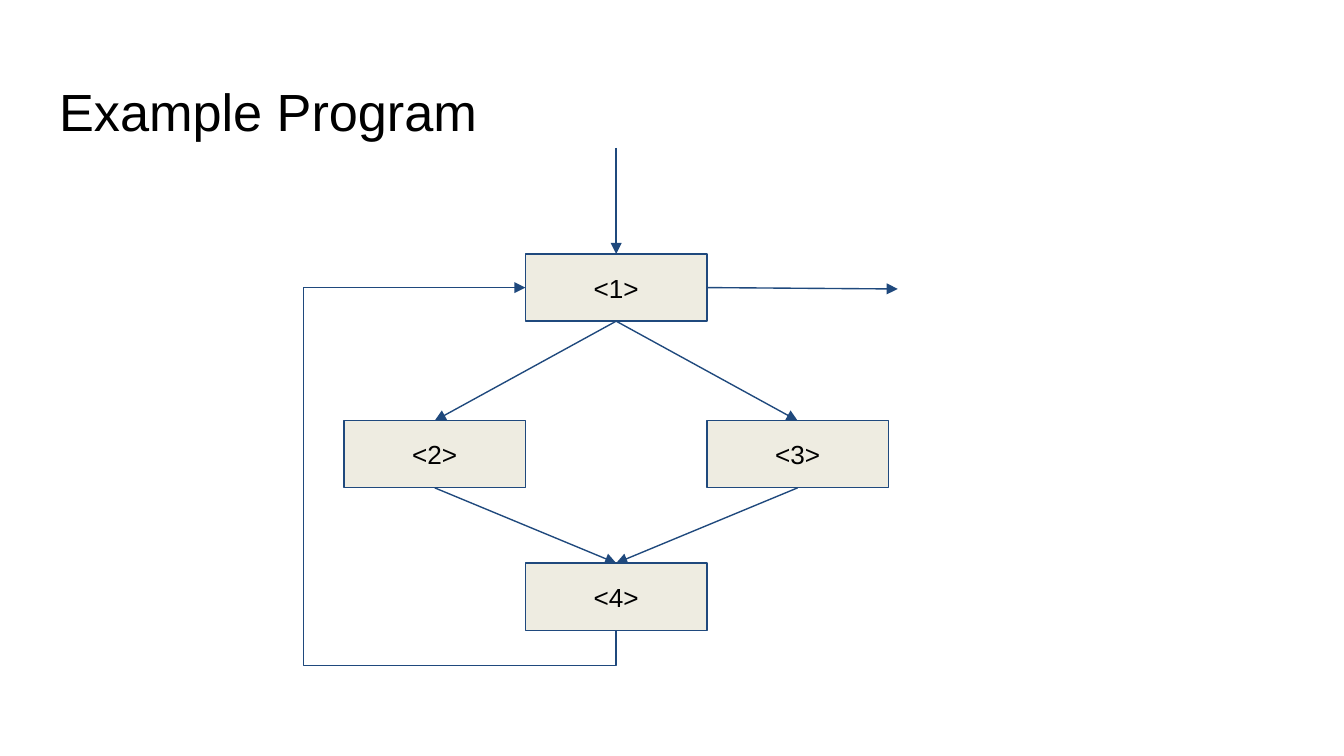
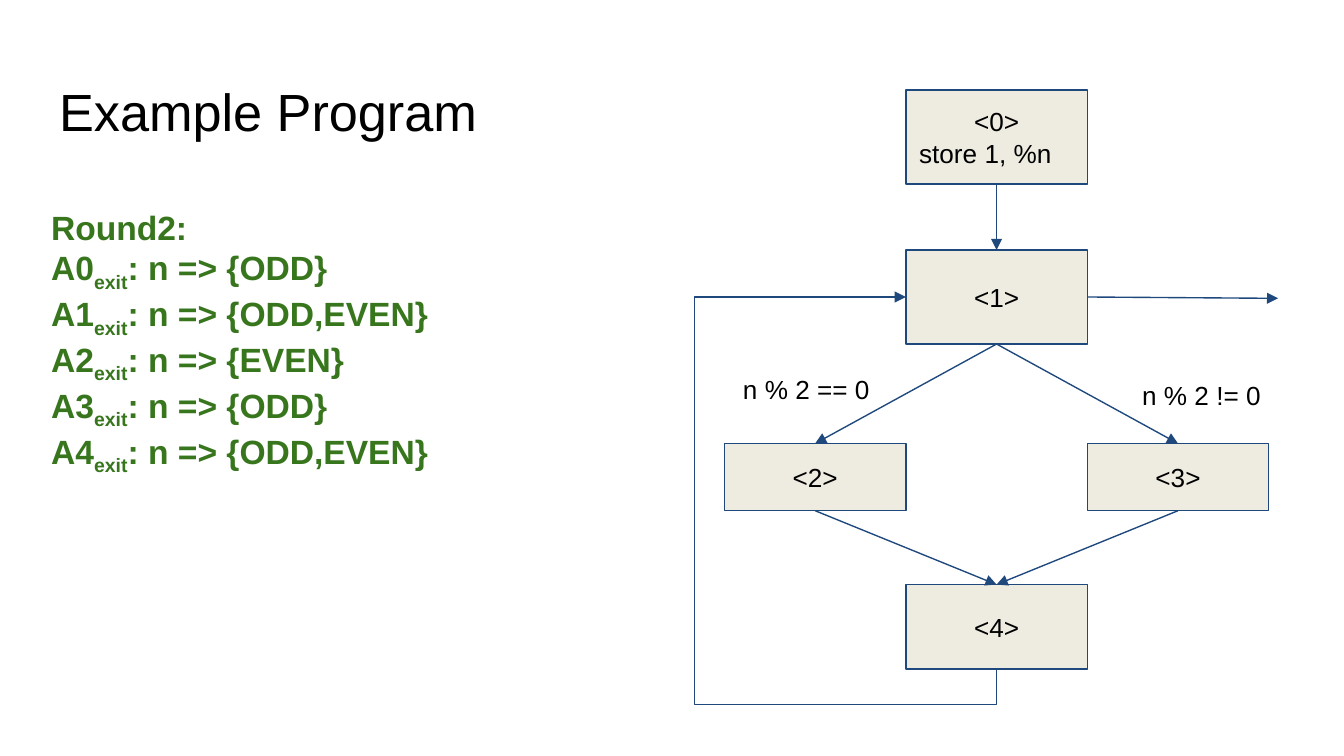
from lxml.etree import SubElement
from pptx import Presentation
from pptx.dml.color import RGBColor
from pptx.enum.shapes import MSO_CONNECTOR, MSO_SHAPE
from pptx.enum.text import MSO_ANCHOR, MSO_AUTO_SIZE, PP_ALIGN
from pptx.oxml.ns import qn
from pptx.util import Inches, Pt

INK = RGBColor(0x00, 0x00, 0x00)
NAVY = RGBColor(0x1F, 0x49, 0x7D)
CREAM = RGBColor(0xEE, 0xEC, 0xE1)
GREEN = RGBColor(0x38, 0x76, 0x1D)
FONT = "Arial"
LINE_WIDTH = Pt(0.75)

PAGE_WIDTH = Inches(10)
PAGE_HEIGHT = PAGE_WIDTH * 9 // 16
COLUMN = 1.35      # node width, and the step between columns
EXIT_LENGTH = 1.42
LOOP_DROP = 0.26   # how far the loop runs below its node
TOP, LEFT, BOTTOM, RIGHT = range(4)   # connection sites of a rectangle

TITLE = "Example Program"
EDGES = [("<1>", "<2>"), ("<1>", "<3>"), ("<2>", "<4>"), ("<3>", "<4>")]

# Nodes: name -> (column, top, height). Labels: (text, left, top).
SLIDES = [
    {
        "origin": 2.56, "lane": 2.26, "entry": 1.1,
        "nodes": {"<1>": (1, 1.89, 0.5), "<3>": (2, 3.13, 0.5),
                  "<2>": (0, 3.13, 0.5), "<4>": (1, 4.19, 0.5)},
        "edges": EDGES, "details": {}, "labels": [], "facts": [],
    },
    {
        "origin": 5.39, "lane": 5.17, "entry": None,
        "nodes": {"<1>": (1, 1.86, 0.7), "<3>": (2, 3.3, 0.5),
                  "<2>": (0, 3.3, 0.5), "<4>": (1, 4.35, 0.63),
                  "<0>": (1, 0.67, 0.7)},
        "edges": [("<0>", "<1>")] + EDGES,
        "details": {"<0>": "store 1, %n"},
        "labels": [("n % 2 != 0", 8.04, 2.72), ("n % 2 == 0", 5.1, 2.68)],
        "facts": [("A0", "{ODD}"), ("A1", "{ODD,EVEN}"), ("A2", "{EVEN}"),
                  ("A3", "{ODD}"), ("A4", "{ODD,EVEN}")],
    },
]


def add_span(para, text, size, color=INK, bold=False, baseline=0):
    """Add one formatted run; baseline is in percent."""
    span = para.add_run()
    span.text = text
    span.font.name, span.font.size, span.font.bold = FONT, Pt(size), bold
    span.font.color.rgb = color
    if baseline:
        span.font._element.set("baseline", str(baseline * 1000))


def prepare_frame(box, anchor=MSO_ANCHOR.TOP):
    """Give a shape's text frame the shared insets and wrapping."""
    frame = box.text_frame
    frame.word_wrap = True
    frame.auto_size = MSO_AUTO_SIZE.NONE
    frame.vertical_anchor = anchor
    frame.margin_left = frame.margin_right = Inches(0.1)
    frame.margin_top = frame.margin_bottom = Inches(0.1)
    return frame


def place(box, left, top, width, height):
    """Move and size a placeholder, in inches."""
    box.left, box.top = Inches(left), Inches(top)
    box.width, box.height = Inches(width), Inches(height)


def add_title(page):
    """Fill the title placeholder."""
    place(page.shapes.title, 0.34, 0.49, 9.32, 0.63)
    para = prepare_frame(page.shapes.title).paragraphs[0]
    para.alignment = PP_ALIGN.LEFT
    add_span(para, TITLE, 28)


def add_facts(page, facts):
    """Write the analysis results in the body placeholder, line by line."""
    body = page.placeholders[1]
    place(body, 0.28, 1.44, 4.66, 1.61)
    para = prepare_frame(body).paragraphs[0]
    para.line_spacing = 1.0
    para.space_before = Pt(0)
    props = para._p.get_or_add_pPr()
    props.set("marL", "0")
    props.set("indent", "0")
    SubElement(props, qn("a:buNone"))
    add_span(para, "Round2:", 18, GREEN, True)
    for name, values in facts:
        para.add_line_break()
        add_span(para, name, 18, GREEN, True)
        add_span(para, "exit", 18, GREEN, True, -25)
        add_span(para, f": n => {values}", 18, GREEN, True)


def add_node(page, name, detail, left, top, height):
    """Draw a node with its name and an optional left-aligned detail."""
    box = page.shapes.add_shape(MSO_SHAPE.RECTANGLE, Inches(left), Inches(top),
                                Inches(COLUMN), Inches(height))
    box.shadow.inherit = False
    box.fill.solid()
    box.fill.fore_color.rgb = CREAM
    box.line.color.rgb = NAVY
    box.line.width = LINE_WIDTH
    frame = prepare_frame(box, MSO_ANCHOR.MIDDLE)
    frame.paragraphs[0].alignment = PP_ALIGN.CENTER
    add_span(frame.paragraphs[0], name, 14)
    if detail:
        para = frame.add_paragraph()
        para.alignment = PP_ALIGN.LEFT
        add_span(para, detail, 14)
    return box


def add_label(page, text, left, top):
    """Write a branch condition beside its arrow."""
    box = page.shapes.add_textbox(Inches(left), Inches(top),
                                  Inches(1.8), Inches(0.32))
    para = prepare_frame(box).paragraphs[0]
    para.alignment = PP_ALIGN.CENTER
    add_span(para, text, 14)


def add_arrow(page, start=(0, 0), end=(0, 0), kind=MSO_CONNECTOR.STRAIGHT):
    """Draw a connector with an arrowhead between two points in EMU."""
    arrow = page.shapes.add_connector(kind, *map(int, start + end))
    arrow.line.color.rgb = NAVY
    arrow.line.width = LINE_WIDTH
    SubElement(arrow.line._get_or_add_ln(), qn("a:tailEnd"), type="triangle")
    SubElement(arrow._element.spPr, qn("a:effectLst"))
    return arrow


def add_loop(page, source, target, lane):
    """Lead back from under the source, up the lane, to the target's left."""
    start_x = source.left + source.width / 2
    start_y = source.top + source.height
    end_x, end_y = target.left, target.top + target.height / 2
    # The preset is turned a quarter, so its length is the vertical distance.
    length, depth = start_y - end_y, start_x - end_x
    left = (start_x + end_x - length) / 2
    top = (start_y + end_y - depth) / 2
    loop = add_arrow(page, (left, top), (left + length, top + depth),
                     MSO_CONNECTOR.ELBOW)
    props = loop._element.spPr
    frame = props.find(qn("a:xfrm"))
    frame.set("rot", str(90 * 60000))
    frame.set("flipH", "1")
    shape = props.find(qn("a:prstGeom"))
    shape.set("prst", "bentConnector4")
    guides = shape.find(qn("a:avLst"))
    if guides is None:
        guides = SubElement(shape, qn("a:avLst"))
    shares = (-Inches(LOOP_DROP) / length, (start_x - Inches(lane)) / depth)
    for number, share in enumerate(shares, 1):
        SubElement(guides, qn("a:gd"), name=f"adj{number}",
                   fmla=f"val {round(share * 100000)}")


def add_graph(page, content):
    """Draw the control-flow graph: nodes, edges, entry, exit and loop."""
    nodes = {}
    for name, (column, top, height) in content["nodes"].items():
        left = content["origin"] + column * COLUMN
        nodes[name] = add_node(page, name, content["details"].get(name),
                               left, top, height)
    for source, target in content["edges"]:
        arrow = add_arrow(page)
        arrow.begin_connect(nodes[source], BOTTOM)
        arrow.end_connect(nodes[target], TOP)
    head = nodes["<1>"]
    if content["entry"]:
        middle = head.left + head.width / 2
        add_arrow(page, (middle, Inches(content["entry"])), (middle, head.top))
    right, centre = head.left + head.width, head.top + head.height / 2
    add_arrow(page, (right, centre),
              (right + Inches(EXIT_LENGTH), centre + Inches(0.01)))
    add_loop(page, nodes["<4>"], head, content["lane"])
    for label in content["labels"]:
        add_label(page, *label)


def build():
    """Build and save the deck."""
    deck = Presentation()
    deck.slide_width, deck.slide_height = PAGE_WIDTH, PAGE_HEIGHT
    with_body, title_only = deck.slide_layouts[1], deck.slide_layouts[5]
    for content in SLIDES:
        facts = content["facts"]
        page = deck.slides.add_slide(with_body if facts else title_only)
        add_title(page)
        add_graph(page, content)
        if facts:
            add_facts(page, facts)
    deck.save("out.pptx")


build()
